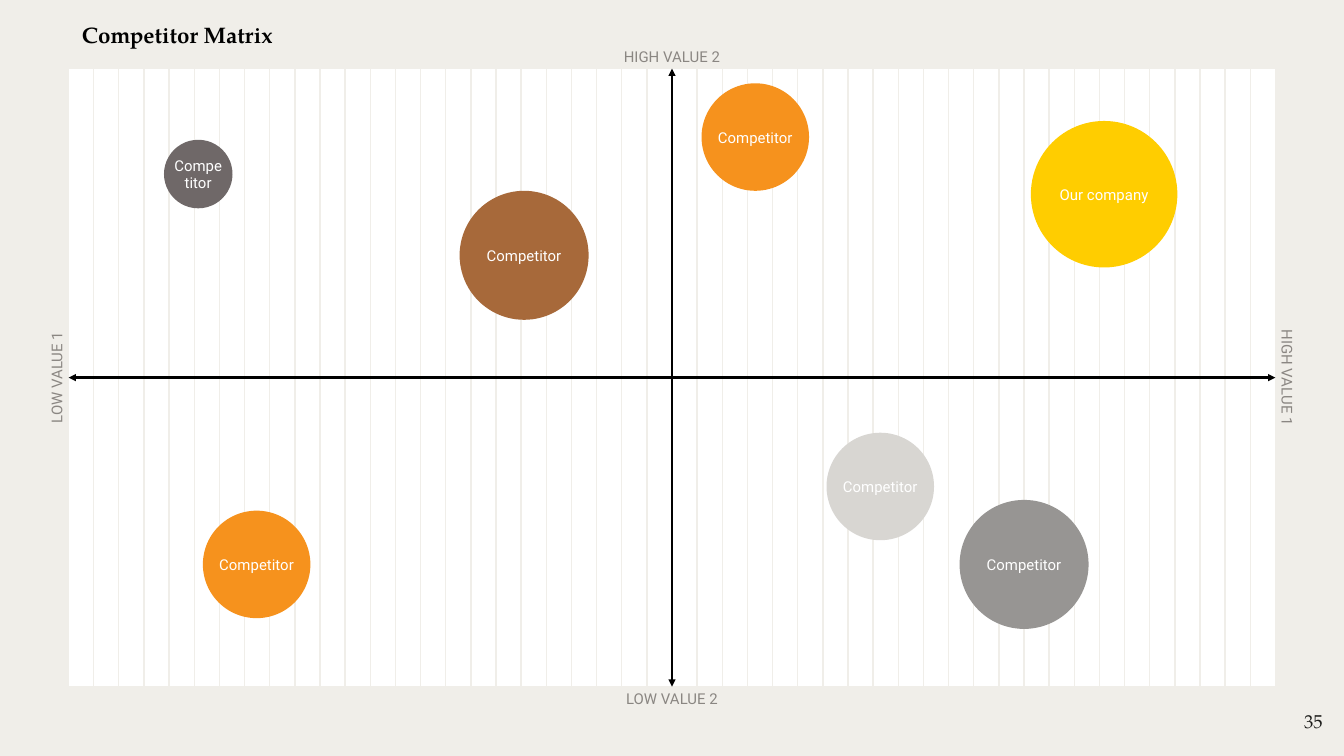
from lxml import etree
from pptx import Presentation
from pptx.dml.color import RGBColor
from pptx.enum.shapes import MSO_CONNECTOR, MSO_SHAPE
from pptx.enum.text import MSO_ANCHOR, PP_ALIGN
from pptx.oxml.ns import qn
from pptx.util import Inches, Pt

SAND = RGBColor(0xF0, 0xEE, 0xE9)
WHITE = RGBColor(0xFF, 0xFF, 0xFF)
BLACK = RGBColor(0x00, 0x00, 0x00)
INK = RGBColor(0x1D, 0x1D, 0x1B)
LABEL_GRAY = RGBColor(0x8A, 0x86, 0x82)
YELLOW = RGBColor(0xFF, 0xCD, 0x00)
BROWN = RGBColor(0xA7, 0x69, 0x3A)
ORANGE = RGBColor(0xF6, 0x92, 0x1D)
LIGHT_GRAY = RGBColor(0xD8, 0xD6, 0xD2)
MID_GRAY = RGBColor(0x97, 0x95, 0x93)
DARK_GRAY = RGBColor(0x6F, 0x68, 0x68)

SERIF = "TeX Gyre Pagella"
SANS = "Roboto"
GRID_COLUMNS = 48
LABEL_WIDTH, LABEL_HEIGHT = 1.41, 0.18

# Name, left and top within the matrix, diameter, colour
BUBBLES = [
    ("Our company", 7.16, 0.39, 1.09, YELLOW),
    ("Competitor", 2.91, 0.91, 0.96, BROWN),
    ("Competitor", 1.0, 3.29, 0.8, ORANGE),
    ("Competitor", 5.64, 2.71, 0.8, LIGHT_GRAY),
    ("Competitor", 6.63, 3.21, 0.96, MID_GRAY),
    ("Competitor", 4.71, 0.11, 0.8, ORANGE),
    ("Competitor", 0.71, 0.53, 0.51, DARK_GRAY),
]


def write(shape, text, font, size, color, align, anchor=MSO_ANCHOR.MIDDLE,
          inset=0.0, bold=False):
    frame = shape.text_frame
    frame.text = text
    frame.word_wrap = True
    frame.vertical_anchor = anchor
    frame.margin_left = frame.margin_right = Inches(inset)
    frame.margin_top = frame.margin_bottom = Inches(inset)
    para = frame.paragraphs[0]
    para.alignment = align
    span = para.runs[0]
    span.font.name = font
    span.font.size = Pt(size)
    span.font.bold = bold
    span.font.color.rgb = color


def add_line(shapes, x1, y1, x2, y2, color, width, arrows=False):
    line = shapes.add_connector(MSO_CONNECTOR.STRAIGHT, Inches(x1), Inches(y1),
                                Inches(x2), Inches(y2))
    line.line.color.rgb = color
    line.line.width = Pt(width)
    properties = line.line._get_or_add_ln()
    if arrows:
        for end in ("a:headEnd", "a:tailEnd"):
            etree.SubElement(properties, qn(end), type="triangle", w="sm", len="sm")
    etree.SubElement(properties.getparent(), qn("a:effectLst"))


def add_title(page, left, top, width, height):
    title = page.shapes.title
    title.left, title.top = Inches(left), Inches(top)
    title.width, title.height = Inches(width), Inches(height)
    write(title, "Competitor Matrix", SERIF, 12, BLACK, PP_ALIGN.LEFT,
          inset=0.1, bold=True)


def add_grid(page, left, top, width, height):
    panel = page.shapes.add_shape(MSO_SHAPE.RECTANGLE, Inches(left), Inches(top),
                                  Inches(width), Inches(height))
    panel.shadow.inherit = False
    panel.fill.solid()
    panel.fill.fore_color.rgb = WHITE
    panel.line.color.rgb = SAND
    panel.line.width = Pt(0.75)
    grid = page.shapes.add_group_shape()
    for column in range(1, GRID_COLUMNS):
        if column != GRID_COLUMNS // 2:  # the vertical axis stands here
            x = left + width * column / GRID_COLUMNS
            add_line(grid.shapes, x, top, x, top + height, SAND, 0.75)


def add_axes(page, left, top, width, height):
    center, middle = left + width / 2, top + height / 2
    right, bottom = left + width, top + height
    add_line(page.shapes, center, top, center, bottom, BLACK, 1.5, arrows=True)
    add_line(page.shapes, left, middle, right, middle, BLACK, 1.5, arrows=True)
    gap = LABEL_HEIGHT / 2
    for text, x, y, rotation in [
        ("LOW VALUE 1", left - gap, middle, 270),
        ("HIGH VALUE 1", right + gap, middle, 90),
        ("LOW VALUE 2", center, bottom + gap, 0),
        ("HIGH VALUE 2", center, top - gap, 0),
    ]:
        label = page.shapes.add_textbox(
            Inches(x - LABEL_WIDTH / 2), Inches(y - LABEL_HEIGHT / 2),
            Inches(LABEL_WIDTH), Inches(LABEL_HEIGHT))
        label.rotation = rotation
        write(label, text, SANS, 8, LABEL_GRAY, PP_ALIGN.CENTER)


def add_bubbles(page, left, top):
    for name, x, y, diameter, color in BUBBLES:
        bubble = page.shapes.add_shape(
            MSO_SHAPE.OVAL, Inches(left + x), Inches(top + y),
            Inches(diameter), Inches(diameter))
        bubble.shadow.inherit = False
        bubble.fill.solid()
        bubble.fill.fore_color.rgb = color
        bubble.line.fill.background()
        write(bubble, name, SANS, 8, WHITE, PP_ALIGN.CENTER)


def add_page_number(page, left, top, width, height):
    number = page.shapes.add_textbox(Inches(left), Inches(top),
                                     Inches(width), Inches(height))
    write(number, "35", SERIF, 10, INK, PP_ALIGN.RIGHT, MSO_ANCHOR.TOP, inset=0.1)


def main():
    deck = Presentation()
    deck.slide_width = Inches(10)
    deck.slide_height = deck.slide_width * 9 // 16
    page = deck.slides.add_slide(deck.slide_layouts[5])
    page.background.fill.solid()
    page.background.fill.fore_color.rgb = SAND

    matrix = (0.51, 0.51, 8.98, 4.6)
    add_title(page, 0.51, 0, 8.98, 0.51)
    add_grid(page, *matrix)
    add_page_number(page, 9.34, 5.2, 0.6, 0.43)
    add_axes(page, *matrix)
    add_bubbles(page, *matrix[:2])
    deck.save("out.pptx")


if __name__ == "__main__":
    main()
